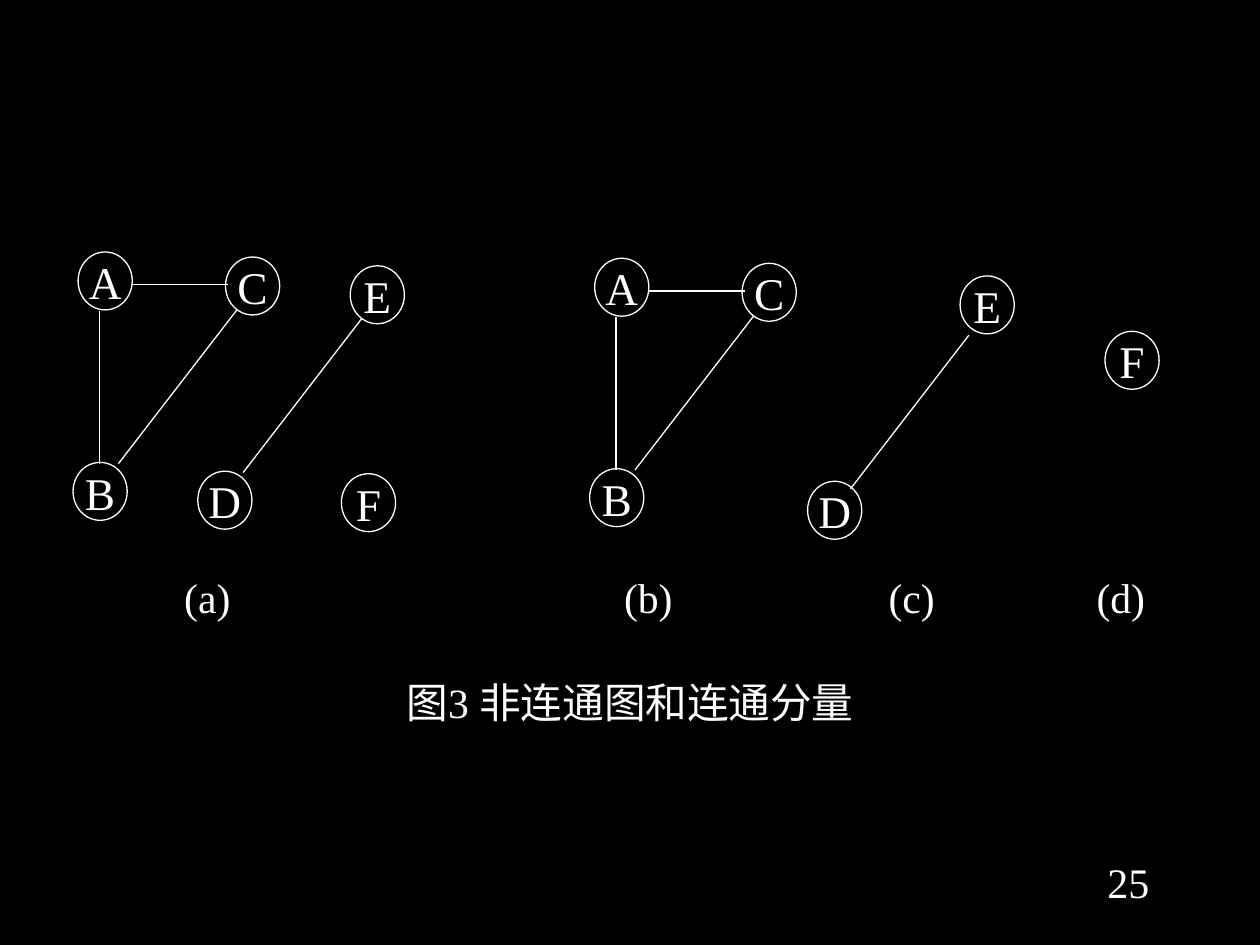
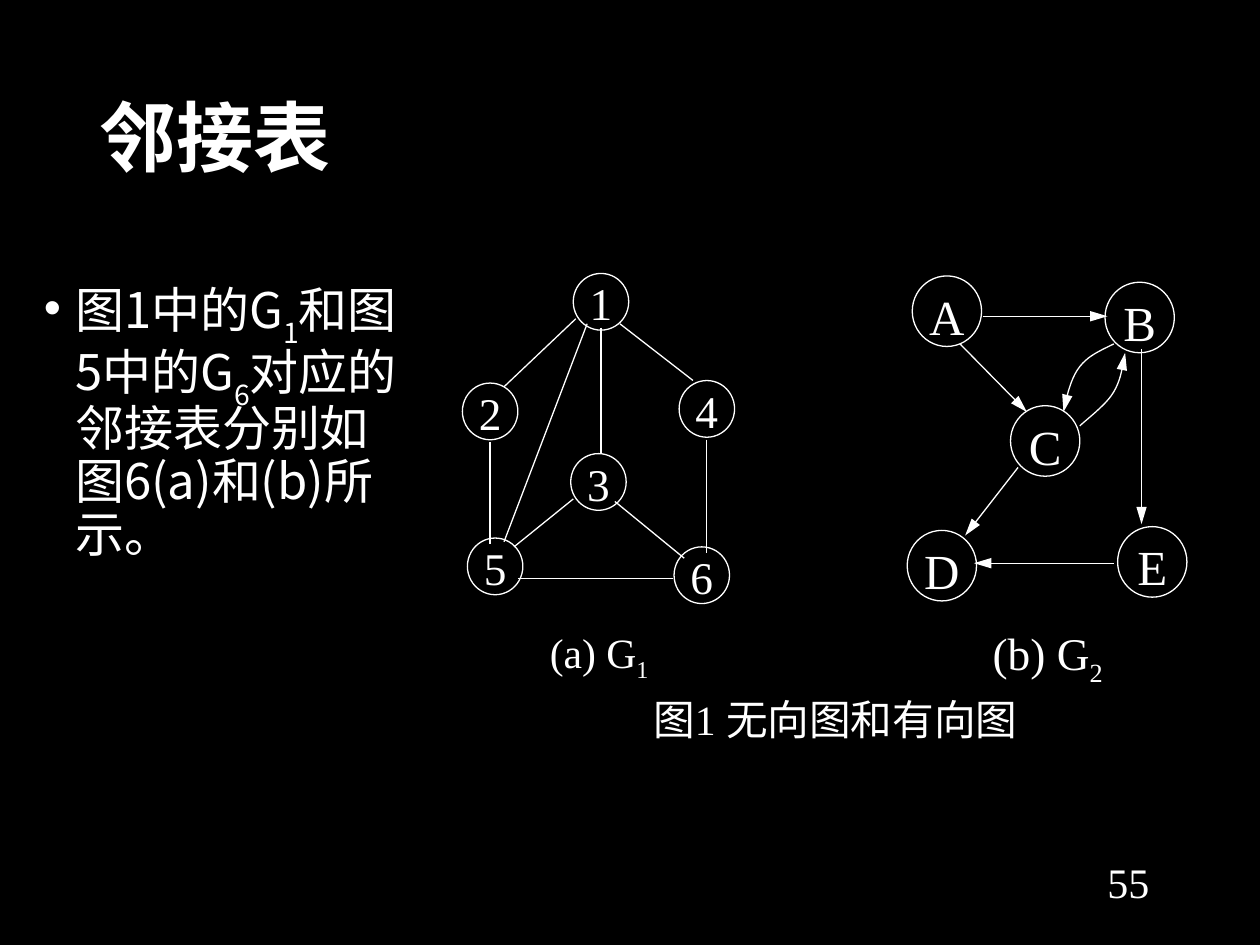
from lxml import etree
from pptx import Presentation
from pptx.dml.color import RGBColor
from pptx.enum.shapes import MSO_CONNECTOR, MSO_SHAPE
from pptx.enum.text import MSO_ANCHOR, PP_ALIGN
from pptx.oxml.ns import qn
from pptx.util import Inches, Pt

BLACK = RGBColor(0, 0, 0)
WHITE = RGBColor(255, 255, 255)
LATIN = "Times New Roman"
CJK = "Noto Sans CJK SC"
STRAIGHT = MSO_CONNECTOR.STRAIGHT
OVAL = MSO_SHAPE.OVAL
TOP, MIDDLE = MSO_ANCHOR.TOP, MSO_ANCHOR.MIDDLE
LEFT, CENTER = PP_ALIGN.LEFT, PP_ALIGN.CENTER
NO_MARGIN, BOX_MARGIN = (0, 0), (0.1, 0.05)
CAPTION_SIZE, LABEL_SIZE = 23.8, 25.9
SMALL_NODE, ROUND_NODE, LARGE_NODE = (0.43, 0.46), (0.44, 0.45), (0.55, 0.56)


def bezier_points(start, control_1, control_2, end, steps=10):
    for step in range(1, steps + 1):
        t = step / steps
        weights = ((1 - t) ** 3, 3 * t * (1 - t) ** 2, 3 * t * t * (1 - t), t ** 3)
        yield tuple(
            sum(weight * value for weight, value in zip(weights, axis))
            for axis in zip(start, control_1, control_2, end)
        )


class Deck:
    def __init__(self):
        self.prs = Presentation()
        self.prs.slide_width = Inches(10)
        self.prs.slide_height = Inches(7.5)
        self.slide = None

    def new_slide(self, page_number):
        self.slide = self.prs.slides.add_slide(self.prs.slide_layouts[6])
        background = self.slide.background.fill
        background.solid()
        background.fore_color.rgb = BLACK
        self.text(8.58, 6.75, 0.75, 0.5, [page_number], 24,
                  margin=BOX_MARGIN, spacing=1)

    def fill_text(self, frame, parts, size, latin=LATIN, align=CENTER, anchor=TOP,
                  margin=NO_MARGIN, spacing=0.9, bold=False, bullet=False, drop=25):
        frame.word_wrap = True
        frame.vertical_anchor = anchor
        frame.margin_left = frame.margin_right = Inches(margin[0])
        frame.margin_top = frame.margin_bottom = Inches(margin[1])
        paragraph = frame.paragraphs[0]
        paragraph.alignment = align
        paragraph.line_spacing = spacing
        properties = paragraph._p.get_or_add_pPr()
        if bullet:
            properties.set("marL", str(Inches(0.25)))
            properties.set("indent", str(Inches(-0.25)))
            etree.SubElement(properties, qn("a:buFont"), typeface="Arial")
            etree.SubElement(properties, qn("a:buChar"), char="•")
        paragraph.font.name = latin
        paragraph.font.size = Pt(size)
        paragraph.font.bold = bold
        paragraph.font.color.rgb = WHITE
        etree.SubElement(properties.find(qn("a:defRPr")), qn("a:ea"), typeface=CJK)
        for index, part in enumerate(parts):
            run = paragraph.add_run()
            run.text = part
            if index % 2:
                run._r.get_or_add_rPr().set("baseline", str(-drop * 1000))

    def text(self, x, y, width, height, parts, size, **style):
        box = self.slide.shapes.add_textbox(
            Inches(x), Inches(y), Inches(width), Inches(height))
        self.fill_text(box.text_frame, parts, size, **style)

    def node(self, label, x, y, node_size, size=LABEL_SIZE, spacing=0.9):
        circle = self.slide.shapes.add_shape(
            OVAL, Inches(x), Inches(y), *map(Inches, node_size))
        circle.shadow.inherit = False
        circle.fill.background()
        self.stroke(circle.line)
        self.fill_text(circle.text_frame, [label], size, spacing=spacing)

    def stroke(self, line, arrow=False):
        line.color.rgb = WHITE
        line.width = Pt(0.75)
        if arrow:
            etree.SubElement(line._get_or_add_ln(), qn("a:tailEnd"),
                             type="triangle", w="med", len="lg")

    def edge(self, x1, y1, x2, y2, arrow=False):
        connector = self.slide.shapes.add_connector(
            STRAIGHT, Inches(x1), Inches(y1), Inches(x2), Inches(y2))
        self.stroke(connector.line, arrow)
        etree.SubElement(connector._element.spPr, qn("a:effectLst"))

    def curved_arrow(self, start, *segments):
        points = [start]
        for segment in segments:
            points.extend(bezier_points(points[-1], *segment))
        corners = [(Inches(x), Inches(y)) for x, y in points]
        builder = self.slide.shapes.build_freeform(*corners[0])
        builder.add_line_segments(corners[1:], close=False)
        curve = builder.convert_to_shape()
        curve.shadow.inherit = False
        curve.fill.background()
        self.stroke(curve.line, arrow=True)

    def triangle_abc(self, left, top):
        for label, dx, dy in (("A", 0.04, 0), ("C", 1.21, 0.04), ("B", 0, 1.67)):
            self.node(label, left + dx, top + dy, SMALL_NODE)
        for x1, y1, x2, y2 in ((0.46, 0.26, 1.23, 0.26),
                               (0.21, 1.68, 0.21, 0.47),
                               (1.3, 0.46, 0.36, 1.68)):
            self.edge(left + x1, top + y1, left + x2, top + y2)

    def pair_de(self, left, top, edge_x, edge_y):
        self.node("E", left + 1.21, top, SMALL_NODE)
        self.node("D", left, top + 1.63, SMALL_NODE)
        self.edge(edge_x, edge_y, edge_x - 0.94, edge_y + 1.22)


def connected_components(deck):
    deck.new_slide("25")
    deck.triangle_abc(0.58, 2)
    deck.pair_de(1.57, 2.11, 2.87, 2.53)
    deck.node("F", 2.71, 3.76, SMALL_NODE)

    deck.triangle_abc(4.68, 2.05)
    deck.pair_de(6.41, 2.19, 7.69, 2.66)
    deck.node("F", 8.77, 2.63, SMALL_NODE)

    for letter, x in zip("abcd", (1.04, 4.54, 6.63, 8.29)):
        deck.text(x, 4.58, 1.21, 0.41, [f"({letter})"], CAPTION_SIZE)
    deck.text(2.75, 5.42, 4.5, 0.42, ["图3 非连通图和连通分量"], CAPTION_SIZE)


def adjacency_list(deck):
    deck.new_slide("55")
    deck.text(0.69, 0.4, 8.63, 1.45, ["邻接表"], 44, latin=CJK, align=LEFT,
              anchor=MIDDLE, margin=BOX_MARGIN, bold=True)
    deck.text(0.25, 2.17, 3, 3.67,
              ["图1中的G", "1", "和图5中的G", "6", "对应的邻接表分别如图6(a)和(b)所示。"],
              28, latin=CJK, align=LEFT, margin=BOX_MARGIN, bullet=True, drop=30)

    undirected_nodes = (
        ("1", 4.55, 2.17), ("2", 3.67, 3.04), ("4", 5.39, 3.02),
        ("5", 3.71, 4.27), ("3", 4.53, 3.6), ("6", 5.35, 4.34),
    )
    undirected_edges = (
        (4.57, 2.53, 4, 3.07), (4.92, 2.57, 5.5, 3.02), (3.89, 3.51, 3.89, 4.32),
        (4.66, 2.57, 4, 4.3), (4.11, 4.59, 5.34, 4.59), (5.61, 3.49, 5.61, 4.39),
        (4.55, 3.96, 4.08, 4.34), (4.88, 3.98, 5.43, 4.43), (4.77, 2.6, 4.77, 3.6),
    )
    for label, x, y in undirected_nodes:
        deck.node(label, x, y, ROUND_NODE)
    for ends in undirected_edges:
        deck.edge(*ends)
    deck.text(3.97, 4.98, 1.57, 0.49, ["(a) G", "1"], CAPTION_SIZE)

    directed_nodes = (
        ("A", 7.24, 2.19), ("B", 8.77, 2.24), ("C", 8.02, 3.22),
        ("E", 8.87, 4.18), ("D", 7.2, 4.21),
    )
    directed_edges = (
        (7.8, 2.51, 8.79, 2.51), (7.62, 2.73, 8.15, 3.27), (8.08, 3.71, 7.66, 4.25),
        (8.84, 4.47, 7.73, 4.47), (9.06, 2.77, 9.06, 4.16),
    )
    for label, x, y in directed_nodes:
        deck.node(label, x, y, LARGE_NODE, size=28, spacing=1)
    for ends in directed_edges:
        deck.edge(*ends, arrow=True)
    deck.curved_arrow((8.84, 2.73),
                      ((8.74, 2.78), (8.64, 2.82), (8.57, 2.91)),
                      ((8.5, 3), (8.47, 3.13), (8.44, 3.27)))
    deck.curved_arrow((8.57, 3.38),
                      ((8.67, 3.29), (8.78, 3.21), (8.84, 3.11)),
                      ((8.9, 3.01), (8.91, 2.9), (8.93, 2.8)))
    deck.text(7.53, 4.97, 1.57, 0.49, ["(b) G", "2"], LABEL_SIZE)
    deck.text(5.06, 5.55, 3.14, 0.45, ["图1 无向图和有向图"], CAPTION_SIZE)


def main():
    deck = Deck()
    connected_components(deck)
    adjacency_list(deck)
    deck.prs.save("out.pptx")


if __name__ == "__main__":
    main()
